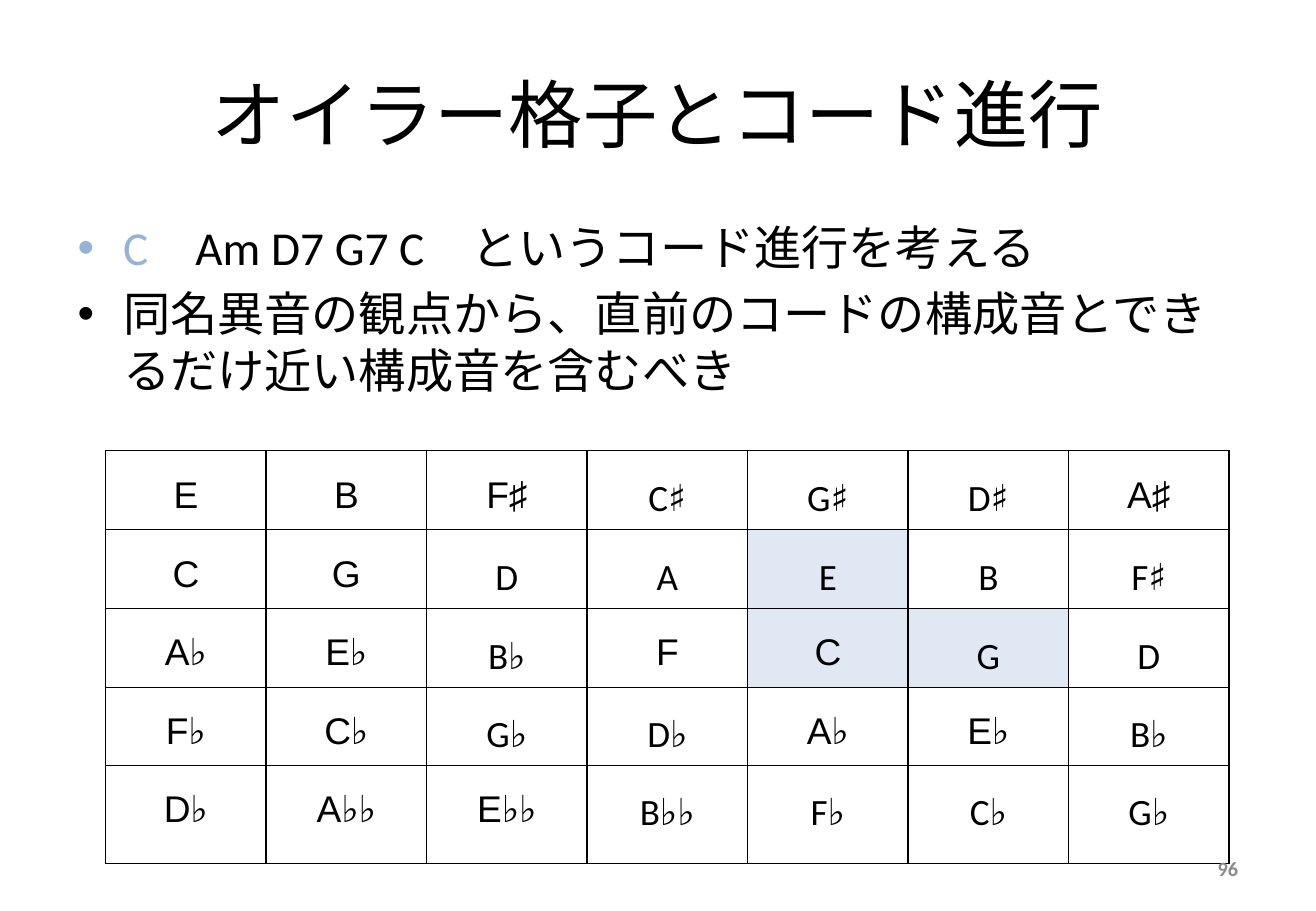
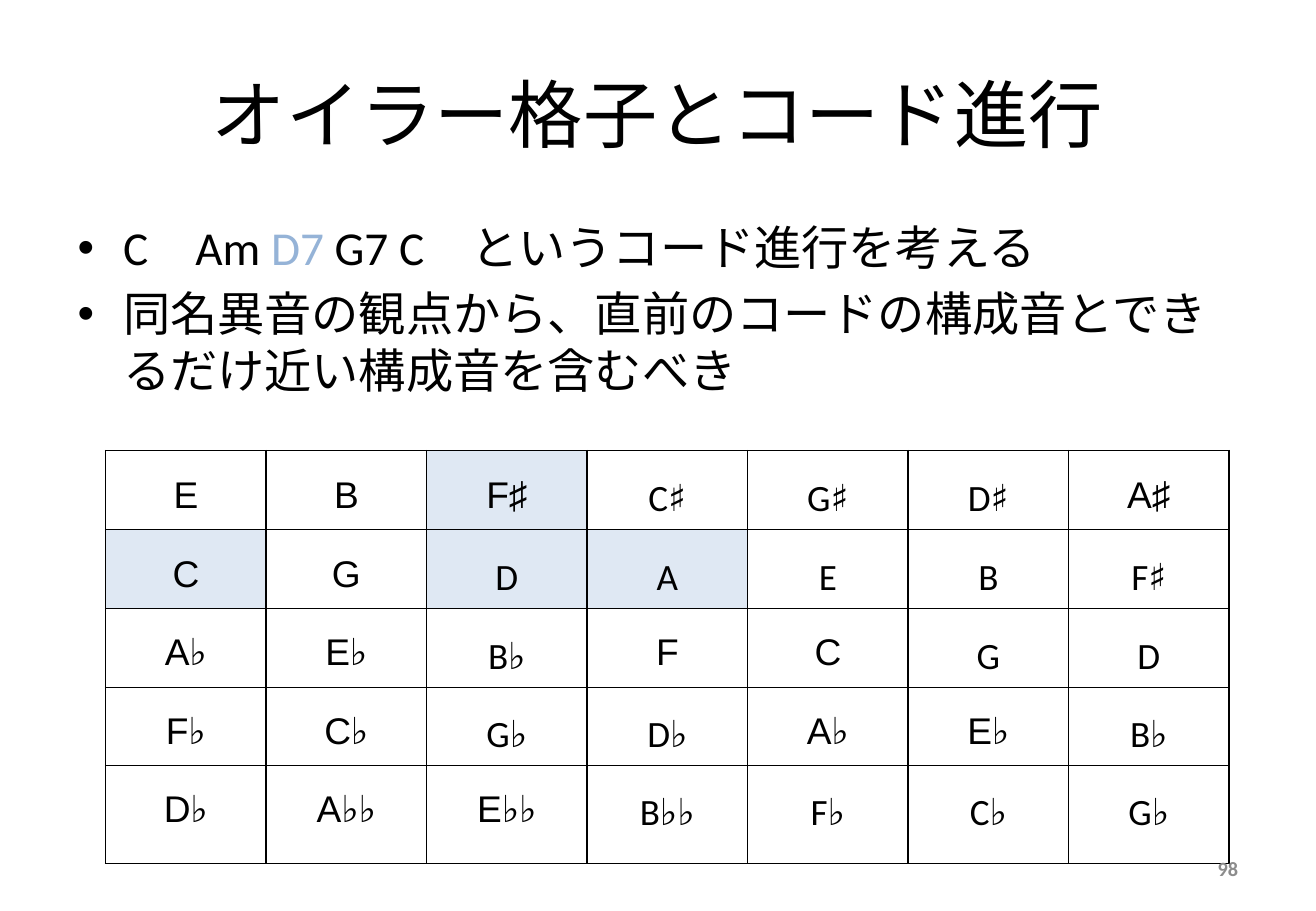
import pptx
import pptx.util
import pptx.dml.color
import pptx.enum.lang
import pptx.enum.text
import pptx.oxml
import pptx.oxml.ns

Pt = pptx.util.Pt
ALIGN = pptx.enum.text.PP_ALIGN
ANCHOR = pptx.enum.text.MSO_ANCHOR
BLACK, CHORD_BLUE, GRAY, CELL_BLUE = "000000", "95B3D7", "8C8C8C", "B9CDE5"

TITLE = "オイラー格子とコード進行"
RULE = "同名異音の観点から、直前のコードの構成音とできるだけ近い構成音を含むべき"
LATTICE = [
    "E B F♯ C♯ G♯ D♯ A♯",
    "C G D A E B F♯",
    "A♭ E♭ B♭ F C G D",
    "F♭ C♭ G♭ D♭ A♭ E♭ B♭",
    "D♭ A♭♭ E♭♭ B♭♭ F♭ C♭ G♭",
]
ARIAL_COLUMNS = [(0, 1, 2, 6), (0, 1), (0, 1, 3, 4), (0, 1, 4, 5), (0, 1, 2)]
SLIDES = [
    {
        "number": "96",
        "chords": [("C　", CHORD_BLUE), ("Am D7 G7 C　というコード進行を考える", BLACK)],
        "lit": {(1, 4), (2, 4), (2, 5)},
    },
    {
        "number": "98",
        "chords": [("C　Am ", BLACK), ("D7", CHORD_BLUE), (" G7 C　というコード進行を考える", BLACK)],
        "lit": {(0, 2), (1, 0), (1, 2), (1, 3)},
    },
]

TITLE_BOX = (38.9, 21.6, 702, 90)
BODY_BOX = (38.9, 126, 702, 356.4)
NUMBER_BOX = (558.7, 500.4, 182.2, 28.8)
TABLE_LEFT, TABLE_TOP, TABLE_WIDTH = 62.6, 267.1, 666
ROW_HEIGHTS = [46.8, 46.8, 46.8, 46.1, 58.3]
BULLET_INDENT = 27

JAPANESE = pptx.enum.lang.MSO_LANGUAGE_ID.JAPANESE
TITLE_FONT = {"size": Pt(44), "name": "Calibri", "language_id": JAPANESE}
BODY_FONT = {"size": Pt(28), "name": "Calibri", "language_id": JAPANESE}
NUMBER_FONT = {"size": Pt(12), "name": "Calibri", "bold": True}
NOTE_FONT = {"size": Pt(22), "bold": False}
CELL_FORMAT = {
    "margin_left": Pt(9.4), "margin_right": Pt(9.4),
    "margin_top": Pt(4.3), "margin_bottom": Pt(4.3),
    "vertical_anchor": ANCHOR.TOP,
}


def rgb(color):
    return pptx.dml.color.RGBColor.from_string(color)


def xml(text):
    return pptx.oxml.parse_xml(text.replace(">", f" {pptx.oxml.ns.nsdecls('a')}>", 1))


def apply(target, values):
    for key, value in values.items():
        setattr(target, key, value)


def add_run(p, text, font, color=BLACK):
    r = p.add_run()
    r.text = text
    apply(r.font, font)
    r.font.color.rgb = rgb(color)


def add_box(s, box):
    tf = s.shapes.add_textbox(*map(Pt, box)).text_frame
    tf.word_wrap = True
    return tf


def add_title(s):
    sp = s.shapes.title
    apply(sp, dict(zip(("left", "top", "width", "height"), map(Pt, TITLE_BOX))))
    sp.text_frame.vertical_anchor = ANCHOR.MIDDLE
    p = sp.text_frame.paragraphs[0]
    p.alignment = ALIGN.CENTER
    add_run(p, TITLE, TITLE_FONT)


def add_bullets(s, chords):
    tf = add_box(s, BODY_BOX)
    for i, runs in enumerate([chords, [(RULE, BLACK)]]):
        p = tf.add_paragraph() if i else tf.paragraphs[0]
        if i:
            p.space_before = Pt(5.6)
        pPr = p._p.get_or_add_pPr()
        pPr.set("marL", str(Pt(BULLET_INDENT)))
        pPr.set("indent", str(-Pt(BULLET_INDENT)))
        pPr.append(xml(f'<a:buClr><a:srgbClr val="{runs[0][1]}"/></a:buClr>'))
        pPr.append(xml('<a:buFont typeface="Arial"></a:buFont>'))
        pPr.append(xml('<a:buChar char="•"></a:buChar>'))
        for text, color in runs:
            add_run(p, text, BODY_FONT, color)


def format_cell(cell, note, font_name, lit):
    apply(cell, CELL_FORMAT)
    tcPr = cell._tc.get_or_add_tcPr()
    for side in "LRTB":
        tcPr.append(xml(
            f'<a:ln{side} w="{Pt(1)}"><a:solidFill><a:srgbClr val="{BLACK}"/></a:solidFill></a:ln{side}>'
        ))
    if lit:
        cell.fill.solid()
        cell.fill.fore_color.rgb = rgb(CELL_BLUE)
        tcPr.find("a:solidFill/a:srgbClr", pptx.oxml.ns._nsmap).append(
            xml('<a:alpha val="45000"></a:alpha>'))
    else:
        cell.fill.background()
    p = cell.text_frame.paragraphs[0]
    apply(p, {"alignment": ALIGN.CENTER, "line_spacing": 1.4})
    add_run(p, note, {**NOTE_FONT, "name": font_name})


def add_lattice(s, lit):
    rows = [line.split() for line in LATTICE]
    table = s.shapes.add_table(
        len(rows), len(rows[0]),
        *map(Pt, (TABLE_LEFT, TABLE_TOP, TABLE_WIDTH, sum(ROW_HEIGHTS))),
    ).table
    apply(table, {"first_row": False, "horz_banding": False})
    for column in table.columns:
        column.width = Pt(TABLE_WIDTH / len(rows[0]))
    for i, notes in enumerate(rows):
        table.rows[i].height = Pt(ROW_HEIGHTS[i])
        for j, note in enumerate(notes):
            font_name = "Arial" if j in ARIAL_COLUMNS[i] else "Calibri"
            format_cell(table.cell(i, j), note, font_name, (i, j) in lit)


def add_number(s, number):
    tf = add_box(s, NUMBER_BOX)
    tf.vertical_anchor = ANCHOR.MIDDLE
    p = tf.paragraphs[0]
    p.alignment = ALIGN.RIGHT
    add_run(p, number, NUMBER_FONT, GRAY)


prs = pptx.Presentation()
apply(prs, {"slide_width": Pt(780), "slide_height": Pt(540)})
for content in SLIDES:
    s = prs.slides.add_slide(prs.slide_layouts[5])
    add_title(s)
    add_bullets(s, content["chords"])
    add_lattice(s, content["lit"])
    add_number(s, content["number"])
prs.save("out.pptx")
